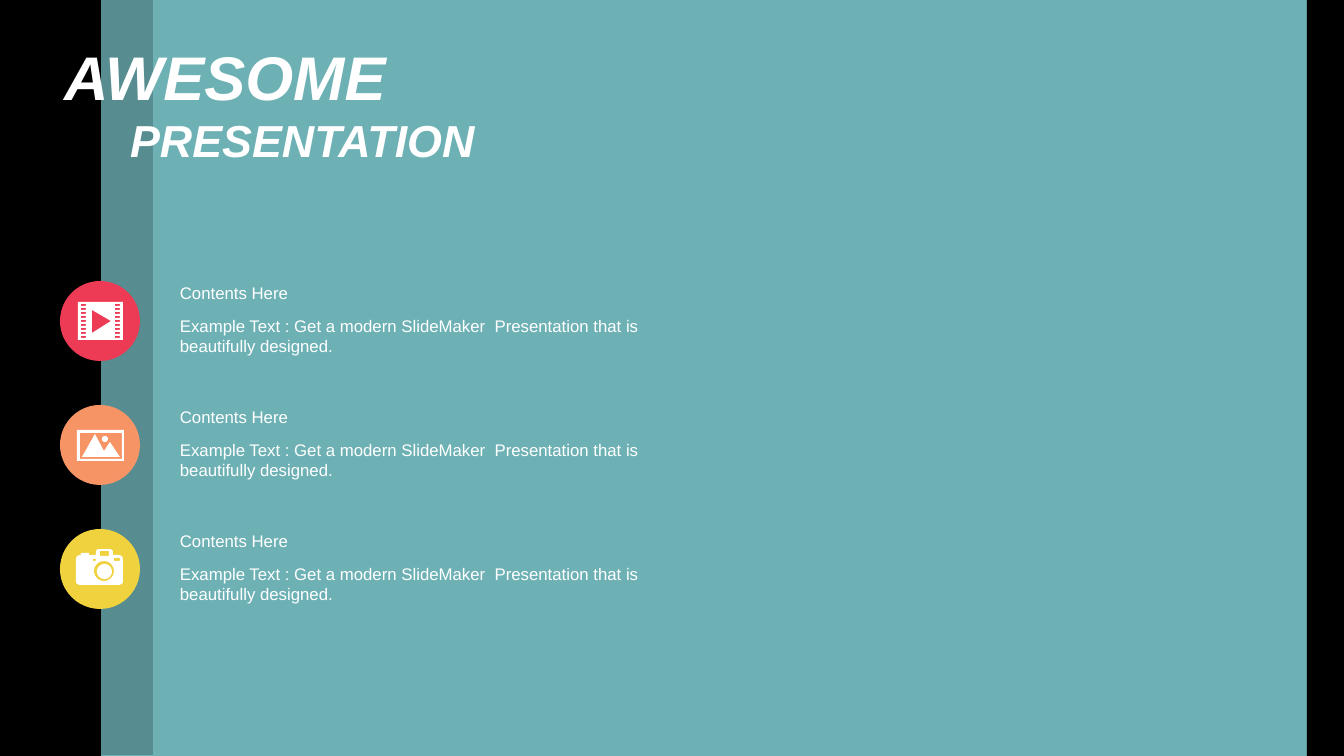
"""Build a contents slide with three icon rows on a teal background."""
import math

from lxml import etree
from pptx import Presentation
from pptx import util as u
from pptx.dml.color import RGBColor
from pptx.enum import shapes, text
from pptx.oxml.ns import qn

PX = 914400 / 100.8
COLORS = {
    "background": "6DB1B5", "black": "000000", "white": "FFFFFF",
    "film": "ED3B55", "photo": "F79465", "camera": "F0D23F",
}
COLORS = {name: RGBColor.from_string(value) for name, value in COLORS.items()}
ROW_PITCH = 124


def add_text(shape, words, *, box, size=12, bold=False, italic=False,
             align=text.PP_ALIGN.LEFT, anchor=text.MSO_ANCHOR.TOP):
    shape.left, shape.top, shape.width, shape.height = [u.Emu(round(n * PX)) for n in box]
    frame = shape.text_frame
    frame.word_wrap = True
    frame.auto_size = text.MSO_AUTO_SIZE.NONE
    frame.vertical_anchor = anchor
    paragraph = frame.paragraphs[0]
    paragraph.text = words
    paragraph.alignment = align
    paragraph.space_before = u.Pt(0)
    font = paragraph.font
    font.name, font.size = "Arial", u.Pt(size)
    font.bold, font.italic = bold, italic
    font.color.rgb = COLORS["white"]


def outline(left, top, right, bottom, oval=False):
    if not oval:
        return [(left, top), (right, top), (right, bottom), (left, bottom)]
    angles = [math.tau * step / 48 for step in range(48)]
    return [((left + right + (right - left) * math.cos(angle)) / 2,
             (top + bottom + (bottom - top) * math.sin(angle)) / 2) for angle in angles]


presentation = Presentation()
presentation.slide_width = u.Emu(round(1344 * PX))
presentation.slide_height = u.Emu(round(756 * PX))
slide = presentation.slides.add_slide(presentation.slide_layouts[0])
slide.background.fill.solid()
slide.background.fill.fore_color.rgb = COLORS["background"]

RECTANGLE, OVAL = shapes.MSO_SHAPE.RECTANGLE, shapes.MSO_SHAPE.OVAL
panels = [
    (RECTANGLE, "black", 100, (0, 0, 101, 756)),
    (RECTANGLE, "black", 20, (100, -1, 53, 756)),
    (RECTANGLE, "black", 100, (1307, -1, 37, 757)),
]
badges = [(OVAL, name, 100, (60, 281 + row * ROW_PITCH, 80, 80))
          for row, name in enumerate(["film", "photo", "camera"])]
for kind, color, opacity, box in panels + badges:
    shape = slide.shapes.add_shape(kind, *[u.Emu(round(n * PX)) for n in box])
    shape.shadow.inherit = False
    shape.fill.solid()
    shape.fill.fore_color.rgb = COLORS[color]
    shape.line.fill.background()
    if opacity < 100:
        fill_color = shape.fill._xPr.find(qn("a:solidFill"))[0]
        etree.SubElement(fill_color, qn("a:alpha"), val=str(opacity * 1000))

film = [outline(78, 302, 123, 340), [(92, 310), (92, 333), (111, 321)]]
film += [outline(left, top, left + 5, top + 2)
         for top in range(304, 340, 4) for left in (81, 115)]
photo = [
    outline(77, 430, 124, 461),
    outline(80, 433, 122, 459),
    [(95, 434), (104, 451), (110, 442), (120, 457), (82, 457)],
    outline(102, 436, 108, 442, oval=True),
]
camera = [
    [(98, 549), (111, 549), (113, 551), (113, 555), (119, 555), (122, 556),
     (123, 559), (123, 582), (122, 584), (119, 585), (80, 585), (77, 584),
     (76, 582), (76, 559), (77, 556), (80, 555), (81, 555), (81, 553),
     (89, 553), (89, 555), (96, 555), (96, 551)],
    outline(100, 551, 109, 556),
    outline(93, 559, 96, 561),
    outline(114, 558, 120, 561),
    outline(94, 561, 114, 581, oval=True),
    outline(97, 564, 112, 579, oval=True),
]
for icon in (film, photo, camera):
    contours = [[(x * PX, y * PX) for x, y in contour] for contour in icon]
    builder = slide.shapes.build_freeform(*contours[0][0])
    builder.add_line_segments(contours[0][1:], close=True)
    for contour in contours[1:]:
        builder.move_to(*contour[0])
        builder.add_line_segments(contour[1:], close=True)
    shape = builder.convert_to_shape()
    shape.shadow.inherit = False
    shape.fill.solid()
    shape.fill.fore_color.rgb = COLORS["white"]
    shape.line.fill.background()

example = "Example Text : Get a modern SlideMaker  Presentation that is beautifully designed."
for row in range(3):
    for words, top, height in [("Contents Here", 278, 30), (example, 311, 50)]:
        add_text(slide.shapes.add_textbox(0, 0, 0, 0), words,
                 box=(170, top + row * ROW_PITCH, 492, height))

title, subtitle = slide.placeholders
for shape, words, size, box in [
    (title, "AWESOME", 44, (54, 33, 393, 85)),
    (subtitle, "PRESENTATION", 32, (120, 107, 393, 65)),
]:
    add_text(shape, words, box=box, size=size, bold=True, italic=True,
             align=text.PP_ALIGN.JUSTIFY, anchor=text.MSO_ANCHOR.MIDDLE)
    slide.shapes._spTree.append(shape._element)

presentation.save("out.pptx")
